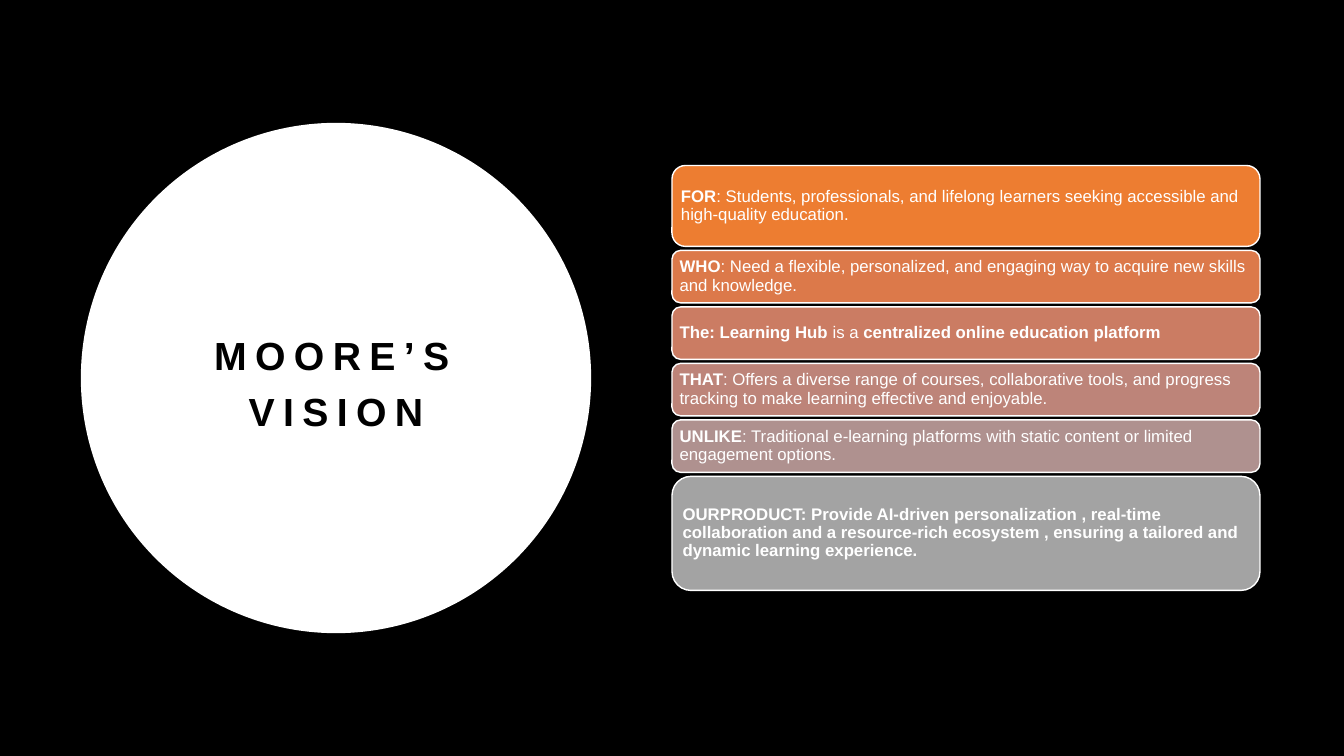
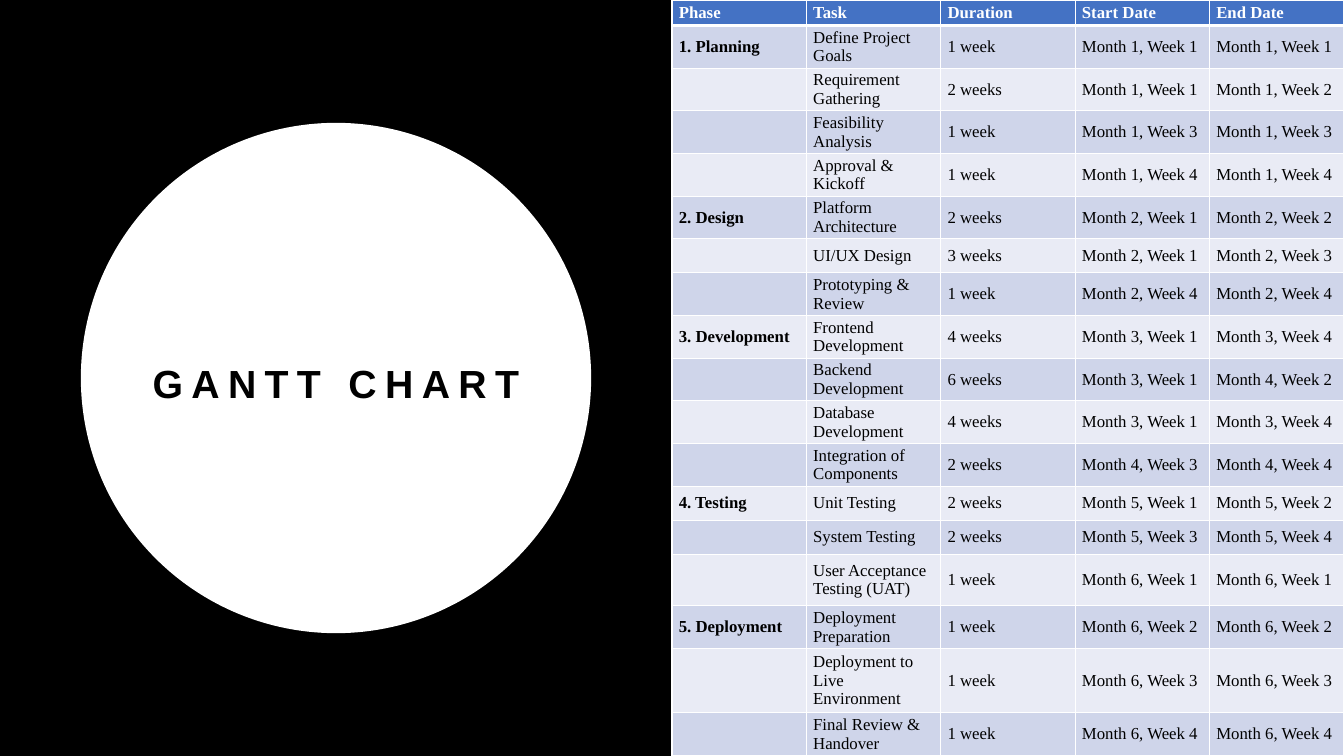
from lxml import etree
from pptx import Presentation
from pptx.dml.color import RGBColor
from pptx.enum.shapes import MSO_SHAPE
from pptx.enum.text import MSO_ANCHOR, PP_ALIGN
from pptx.oxml.ns import qn
from pptx.util import Pt

OVAL, RECT, ROUND = MSO_SHAPE.OVAL, MSO_SHAPE.RECTANGLE, MSO_SHAPE.ROUNDED_RECTANGLE
MIDDLE = MSO_ANCHOR.MIDDLE
LEFT, CENTER = PP_ALIGN.LEFT, PP_ALIGN.CENTER

WIDE, HIGH = 960, 540
HALF = WIDE / 2
BLACK, WHITE = "000000", "FFFFFF"
HEAD, ODD, EVEN = "4472C4", "CFD5EA", "E9EBF5"
SANS, SERIF = "Arial", "Times New Roman"

# Each card: fill, height, then (text, bold) runs
CARDS = [
    ("ED7D31", 57.8, [
        ("FOR", True),
        (": Students, professionals, and lifelong learners seeking "
         "accessible and high-quality education.", False)]),
    ("DC794A", 37.5, [
        ("WHO", True),
        (": Need a flexible, personalized, and engaging way to acquire "
         "new skills and knowledge.", False)]),
    ("CB7C63", 37.5, [
        ("The: Learning Hub", True),
        (" is a ", False),
        ("centralized online education platform", True)]),
    ("BD8479", 37.5, [
        ("THAT", True),
        (": Offers a diverse range of courses, collaborative tools, and "
         "progress tracking to make learning effective and enjoyable.", False)]),
    ("AF918F", 37.5, [
        ("UNLIKE", True),
        (": Traditional e-learning platforms with static content or "
         "limited engagement options.", False)]),
    ("A3A3A3", 81.5, [
        ("OURPRODUCT: Provide AI-driven personalization , real-time "
         "collaboration and a resource-rich ecosystem , ensuring a tailored "
         "and dynamic learning experience.", True)]),
]

TITLES = ["Phase", "Task", "Duration", "Start Date", "End Date"]
# Each task: name, weeks, start and end as (month, week), row height
PLAN = {
    "1. Planning": [
        ("Define Project Goals", 1, (1, 1), (1, 1), 30.5),
        ("Requirement Gathering", 2, (1, 1), (1, 2), 30.5),
        ("Feasibility Analysis", 1, (1, 3), (1, 3), 30.5),
        ("Approval & Kickoff", 1, (1, 4), (1, 4), 30.5)],
    "2. Design": [
        ("Platform Architecture", 2, (2, 1), (2, 2), 30.5),
        ("UI/UX Design", 3, (2, 1), (2, 3), 24.3),
        ("Prototyping & Review", 1, (2, 4), (2, 4), 30.5)],
    "3. Development": [
        ("Frontend Development", 4, (3, 1), (3, 4), 30.5),
        ("Backend Development", 6, (3, 1), (4, 2), 30.5),
        ("Database Development", 4, (3, 1), (3, 4), 30.5),
        ("Integration of Components", 2, (4, 3), (4, 4), 30.5)],
    "4. Testing": [
        ("Unit Testing", 2, (5, 1), (5, 2), 24.3),
        ("System Testing", 2, (5, 3), (5, 4), 24.3),
        ("User Acceptance Testing (UAT)", 1, (6, 1), (6, 1), 36.9)],
    "5. Deployment": [
        ("Deployment Preparation", 1, (6, 2), (6, 2), 30.5),
        ("Deployment to Live Environment", 1, (6, 3), (6, 3), 46),
        ("Final Review & Handover", 1, (6, 4), (6, 4), 30.5)],
}


def paint(fill, color):
    fill.solid()
    fill.fore_color.rgb = RGBColor.from_string(color)


def style(run, face, size, color, bold):
    font = run.font
    font.name, font.size, font.bold = face, Pt(size), bold
    font.color.rgb = RGBColor.from_string(color)


def add_block(slide, kind, box, color, edge=None):
    block = slide.shapes.add_shape(kind, *map(Pt, box))
    block.shadow.inherit = False
    paint(block.fill, color)
    if edge:
        paint(block.line.fill, edge)
        block.line.width = Pt(1)
    else:
        block.line.fill.background()
    return block


def add_badge(slide, box, title, width):
    """White disc filling the box, with a spaced title across its middle."""
    left, top, size, _ = box
    add_block(slide, OVAL, box, WHITE)
    tall = 180
    label = slide.shapes.add_textbox(
        Pt(left + (size - width) / 2), Pt(top + (size - tall) / 2),
        Pt(width), Pt(tall))
    frame = label.text_frame
    frame.word_wrap = True
    frame.vertical_anchor = MIDDLE
    frame.text = title
    para = frame.paragraphs[0]
    para.alignment, para.line_spacing = CENTER, 1.2
    run = para.runs[0]
    style(run, SANS, 28, BLACK, True)
    run.font._element.set("spc", "600")


def add_cards(slide, box, gap):
    """Stack of cards down the box, each with its own height."""
    left, top, width = box
    for color, tall, parts in CARDS:
        card = add_block(slide, ROUND, (left, top, width, tall), color, WHITE)
        frame = card.text_frame
        frame.word_wrap = True
        frame.vertical_anchor = MIDDLE
        frame.margin_left = frame.margin_right = Pt(3.6)
        frame.margin_top = frame.margin_bottom = Pt(3.6)
        para = frame.paragraphs[0]
        para.alignment, para.line_spacing = LEFT, 0.9
        for text, bold in parts:
            run = para.add_run()
            run.text = text
            style(run, SANS, 12, WHITE, bold)
        top += tall + gap


def set_edge(cell, side, width):
    """Draw one white cell border; call before the cell is filled."""
    props = cell._tc.get_or_add_tcPr()
    line = etree.SubElement(props, qn("a:" + side), w=str(Pt(width)))
    fill = etree.SubElement(line, qn("a:solidFill"))
    etree.SubElement(fill, qn("a:srgbClr"), val=WHITE)


def fill_cell(cell, text, back, ink, bold, above, below):
    for side, width in (("lnL", 1), ("lnR", 1), ("lnT", above), ("lnB", below)):
        set_edge(cell, side, width)
    paint(cell.fill, back)
    cell.vertical_anchor = MIDDLE
    cell.margin_left = cell.margin_right = Pt(4.9)
    cell.margin_top = cell.margin_bottom = 0
    cell.text_frame.text = text
    for run in cell.text_frame.paragraphs[0].runs:
        style(run, SERIF, 12, ink, bold)


def list_rows():
    """Yield the height and the five texts of each table row."""
    yield 18.2, TITLES
    for phase, tasks in PLAN.items():
        for spot, (task, weeks, start, end, tall) in enumerate(tasks):
            dates = [f"Month {month}, Week {week}" for month, week in (start, end)]
            span = f"{weeks} week" + ("s" if weeks > 1 else "")
            yield tall, ["" if spot else phase, task, span, *dates]


def add_plan(slide, box):
    rows = list(list_rows())
    table = slide.shapes.add_table(len(rows), len(TITLES), *map(Pt, box)).table
    for col in table.columns:
        col.width = Pt(box[2] / len(TITLES))
    for r, (tall, texts) in enumerate(rows):
        table.rows[r].height = Pt(tall)
        head = r == 0
        back = HEAD if head else ODD if r % 2 else EVEN
        for c, text in enumerate(texts):
            fill_cell(table.cell(r, c), text, back, WHITE if head else BLACK,
                      head or c == 0, 3 if r == 1 else 1, 3 if head else 1)


def add_page(deck, back, title, width):
    """Slide with a black left half that carries the title disc."""
    slide = deck.slides.add_slide(deck.slide_layouts[6])
    paint(slide.background.fill, back)
    if back != BLACK:
        add_block(slide, RECT, (0, 0, HALF, HIGH), BLACK)
    add_badge(slide, (57.75, 87.75, 364.5, 364.5), title, width)
    return slide


def main():
    deck = Presentation()
    deck.slide_width, deck.slide_height = Pt(WIDE), Pt(HIGH)
    vision = add_page(deck, BLACK, "MOORE’S VISION", 287)
    add_cards(vision, (HALF, 118.2, 420), 2.85)
    gantt = add_page(deck, WHITE, "GANTT CHART", 312)
    add_plan(gantt, (HALF, 0, HALF, HIGH))
    deck.save("out.pptx")


if __name__ == "__main__":
    main()
